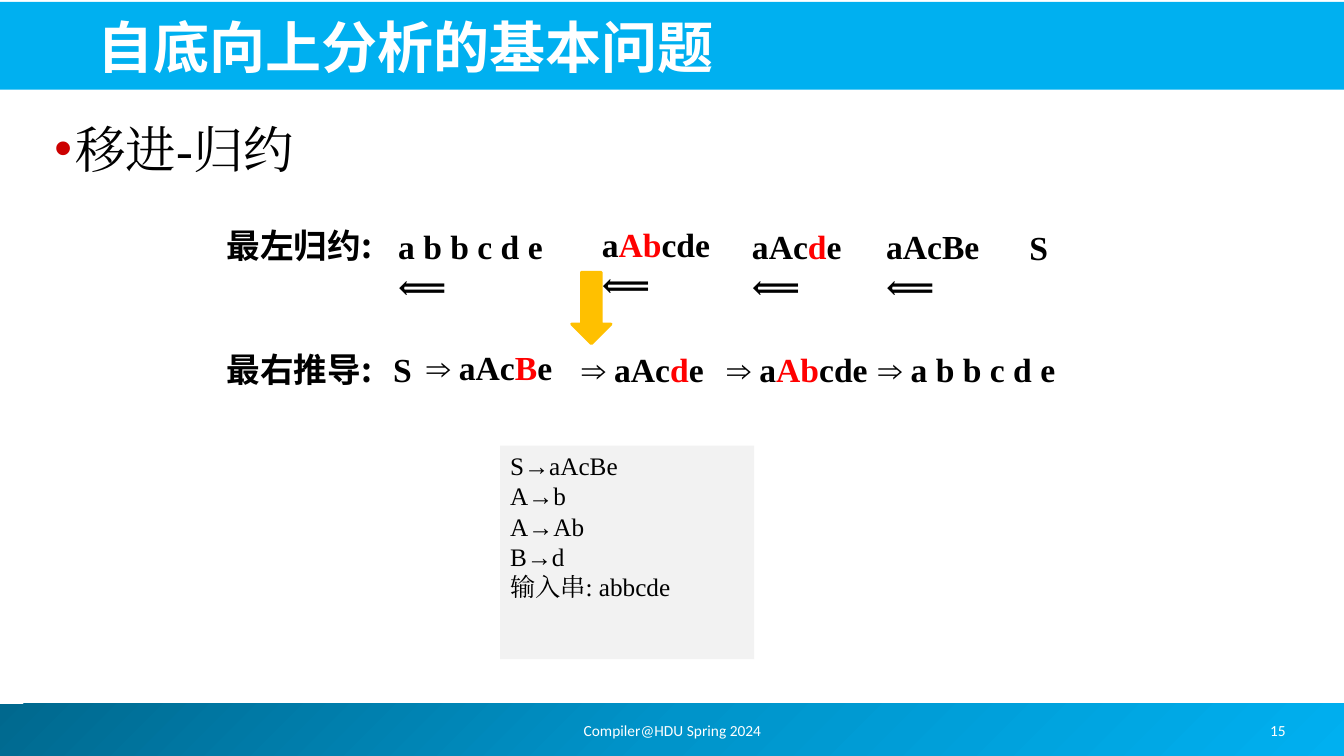
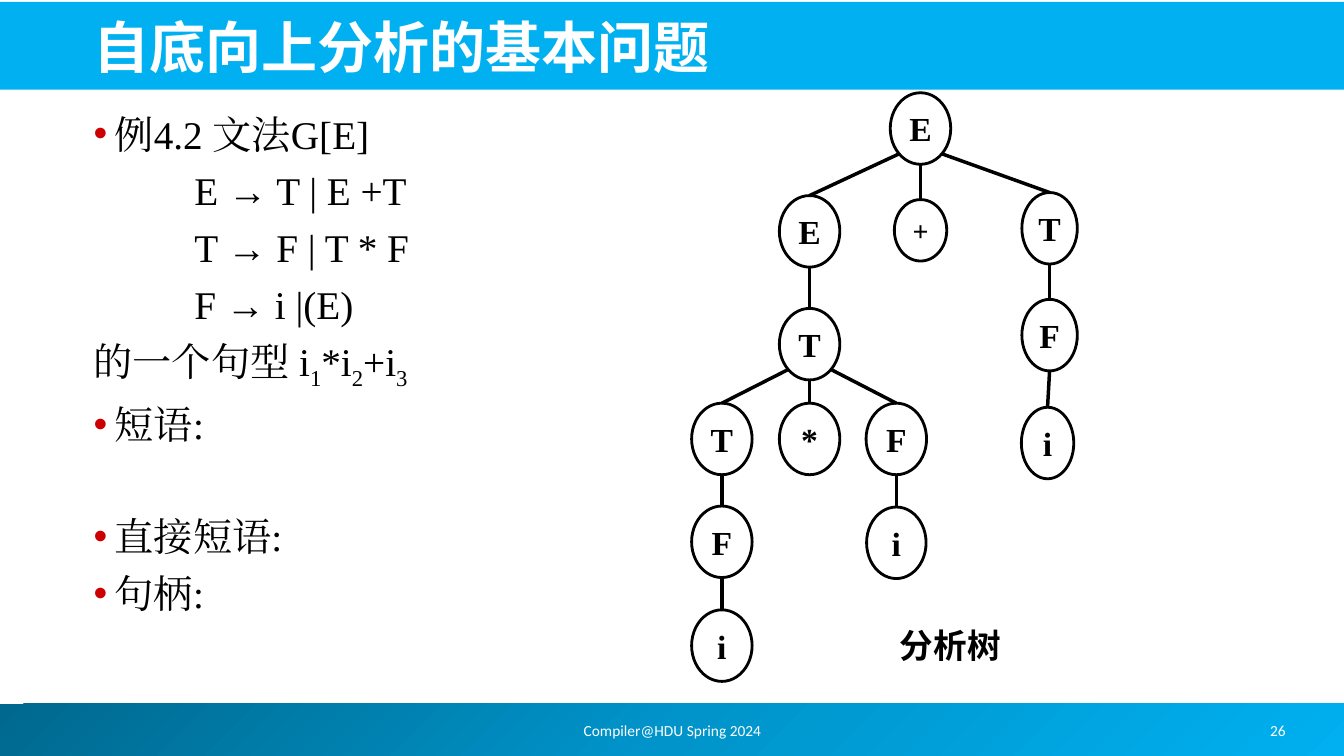
from copy import deepcopy
from math import cos, pi, sin

from pptx import Presentation
from pptx.dml.color import RGBColor
from pptx.enum.shapes import MSO_CONNECTOR, MSO_SHAPE
from pptx.enum.text import MSO_ANCHOR, MSO_AUTO_SIZE, PP_ALIGN
from pptx.oxml.ns import qn
from pptx.util import Inches, Pt
from lxml.etree import SubElement

COLORS = {
    "sky": "00B0F0", "deep": "00688E", "mid": "0094CA",
    "white": "FFFFFF", "black": "000000", "red": "FF0000",
    "bullet": "CC0000", "panel": "F2F2F2", "arrow": "FFC000",
}
SERIF, CJK, SANS = "Times New Roman", "Noto Sans CJK JP", "Calibri"

# Text formats
TITLE = {"name": CJK, "size": Pt(40), "bold": True}
FOOTER = {"name": SANS, "size": Pt(11)}
LABEL = {"name": CJK, "size": Pt(24), "bold": True}
FORMULA = {"name": SERIF, "size": Pt(24), "bold": True}
PLUS = {**FORMULA, "size": Pt(20)}
GRAMMAR = {"name": SERIF, "size": Pt(18)}
HEADING = {"name": SERIF, "size": Pt(36)}
BODY = {"name": SERIF, "size": Pt(28)}


def rgb(name):
    return RGBColor.from_string(COLORS[name])


def write(paragraph, text, style, color="black", mark="red"):
    """Write text; pieces between ~ signs are red or subscript."""
    for index, piece in enumerate(text.split("~")):
        if not piece:
            continue
        run = paragraph.add_run()
        run.text = piece
        for attribute, value in style.items():
            setattr(run.font, attribute, value)
        marked = index % 2 == 1
        run.font.color.rgb = rgb("red" if marked and mark == "red" else color)
        properties = run.font._element
        if marked and mark == "subscript":
            properties.set("baseline", "-25000")
        SubElement(properties, qn("a:ea")).set("typeface", style["name"])


def add_text(slide, at, text, style, color="black", align=PP_ALIGN.LEFT,
             anchor=MSO_ANCHOR.TOP, wrap=True):
    frame = slide.shapes.add_textbox(*map(Inches, at)).text_frame
    frame.word_wrap = wrap
    frame.vertical_anchor = anchor
    if not wrap:
        frame.auto_size = MSO_AUTO_SIZE.SHAPE_TO_FIT_TEXT
    paragraph = frame.paragraphs[0]
    paragraph.alignment = align
    if text:
        write(paragraph, text, style, color)
    return frame


def add_block(slide, kind, at, fill=None, line=None):
    block = slide.shapes.add_shape(kind, *map(Inches, at))
    block.shadow.inherit = False
    if fill:
        block.fill.solid()
        block.fill.fore_color.rgb = rgb(fill)
    else:
        block.fill.background()
    if line:
        block.line.color.rgb = rgb(line)
        block.line.width = Pt(2)
    else:
        block.line.fill.background()
    return block


def set_indent(paragraph, left, first=0.0):
    properties = paragraph._p.get_or_add_pPr()
    properties.set("marL", str(Inches(left)))
    properties.set("indent", str(Inches(first)))
    return properties


def add_bullet(paragraph):
    properties = set_indent(paragraph, 0.21, -0.21)
    color = SubElement(properties, qn("a:buClr"))
    SubElement(color, qn("a:srgbClr")).set("val", COLORS["bullet"])
    SubElement(properties, qn("a:buFont")).set("typeface", "Arial")
    SubElement(properties, qn("a:buChar")).set("char", "•")


def add_body(slide, at, lines, style):
    """Each line is (text, level, space before in points)."""
    frame = add_text(slide, at, "", style)
    for index, (text, level, gap) in enumerate(lines):
        paragraph = frame.add_paragraph() if index else frame.paragraphs[0]
        if index:
            paragraph.space_before = Pt(gap)
        if level == "bullet":
            add_bullet(paragraph)
        elif level == "rule":
            set_indent(paragraph, 1)
        write(paragraph, text, style, mark="subscript")


def add_footer_band(slide):
    band = add_block(slide, MSO_SHAPE.RECTANGLE, (0, 6.98, 13.33, 0.52))
    band.fill.gradient()
    band.fill.gradient_angle = 315
    stop_list = band._element.spPr.find(".//" + qn("a:gsLst"))
    stop_list.append(deepcopy(stop_list[0]))
    stops = zip(band.fill.gradient_stops, ("deep", "mid", "sky"), (0, 0.5, 1))
    for stop, color, position in stops:
        stop.color.rgb = rgb(color)
        stop.position = position


def new_slide(deck, title_left, number):
    """Blank slide with the bands, title and footer all slides share."""
    slide = deck.slides.add_slide(deck.slide_layouts[6])
    add_footer_band(slide)
    add_block(slide, MSO_SHAPE.RECTANGLE, (0, 0.02, 13.33, 0.87), "sky")
    add_text(slide, (title_left, 0.05, 12.06, 0.79), "自底向上分析的基本问题",
             TITLE, "white", anchor=MSO_ANCHOR.BOTTOM)
    for left, width, text in ((4.56, 4.22, "Compiler@HDU Spring 2024"),
                              (12.19, 0.97, str(number))):
        add_text(slide, (left, 7, width, 0.5), text, FOOTER, "white",
                 PP_ALIGN.CENTER, MSO_ANCHOR.MIDDLE)
    return slide


def add_node(slide, center, top, width, height, symbol):
    at = (center - width / 2, top, width, height)
    node = add_block(slide, MSO_SHAPE.OVAL, at, line="black")
    frame = node.text_frame
    frame.margin_left = frame.margin_right = 0
    frame.margin_top = frame.margin_bottom = 0
    frame.word_wrap = False
    frame.vertical_anchor = MSO_ANCHOR.MIDDLE
    frame.paragraphs[0].alignment = PP_ALIGN.CENTER
    write(frame.paragraphs[0], symbol, PLUS if symbol == "+" else FORMULA)
    return node


def add_branch(slide, parent, child):
    """Line from the parent's lower rim to the top of the child."""
    shift = child.left + child.width / 2 - parent.left - parent.width / 2
    angle = pi / 2
    if abs(shift) > Inches(0.3):
        angle = pi / 4 if shift > 0 else 3 * pi / 4
    start_x = parent.left + parent.width / 2 * (1 + cos(angle))
    start_y = parent.top + parent.height / 2 * (1 + sin(angle))
    branch = slide.shapes.add_connector(
        MSO_CONNECTOR.STRAIGHT, int(start_x), int(start_y), 0, 0)
    branch.end_connect(child, 0)
    branch.line.color.rgb = rgb("black")
    branch.line.width = Pt(2.5)
    SubElement(branch._element.spPr, qn("a:effectLst"))


def build_shift_reduce(deck):
    slide = new_slide(deck, 0.87, 15)
    add_body(slide, (0.44, 1.12, 12.44, 5.4), [("移进-归约", "bullet", 0)],
             HEADING)

    # Grammar panel
    panel = add_block(slide, MSO_SHAPE.RECTANGLE, (4.96, 4.42, 2.52, 2.12),
                      "panel")
    frame = panel.text_frame
    frame.vertical_anchor = MSO_ANCHOR.TOP
    rules = ("S→aAcBe", "A→b", "A→Ab", "B→d", "输入串: abbcde")
    for index, rule in enumerate(rules):
        paragraph = frame.add_paragraph() if index else frame.paragraphs[0]
        paragraph.alignment = PP_ALIGN.LEFT
        write(paragraph, rule, GRAMMAR)

    # Leftmost reduction; each arrow wraps below its string
    add_text(slide, (2.15, 2.18, 1.65, 0.5), "最左归约:", LABEL, wrap=False)
    reductions = (
        (3.85, 2.19, 2.13, "a b b c d e ⟸"), (5.87, 2.17, 1.69, "a~Ab~cde⟸"),
        (7.36, 2.19, 1.5, "aAc~d~e⟸"), (8.69, 2.19, 1.53, "aAcBe⟸"),
        (10.11, 2.2, 0.39, "S"),
    )
    for left, top, width, text in reductions:
        add_text(slide, (left, top, width, 0.5), text, FORMULA)

    # Rightmost derivation
    add_text(slide, (2.15, 3.41, 1.65, 0.51), "最右推导:", LABEL, wrap=False)
    derivations = (
        (3.8, 3.41, 0.39, "S"), (4.13, 3.39, 1.64, "⇒ aAc~B~e"),
        (5.67, 3.41, 1.64, "⇒ aAc~d~e"), (7.11, 3.41, 1.79, "⇒ a~Ab~cde"),
        (8.61, 3.41, 2.15, "⇒ a b b c d e"),
    )
    for left, top, width, text in derivations:
        add_text(slide, (left, top, width, 0.51), text, FORMULA, wrap=False)

    add_block(slide, MSO_SHAPE.DOWN_ARROW, (5.67, 2.7, 0.39, 0.71),
              "arrow", "arrow")


def build_parse_tree(deck):
    slide = new_slide(deck, 0.83, 26)
    add_body(slide, (0.83, 1.04, 4.75, 5.88), [
        ("例4.2 文法G[E]", "bullet", 0),
        ("E → T | E +T", "rule", 7),
        ("T → F | T * F", "rule", 7),
        ("F → i |(E)", "rule", 7),
        ("的一个句型 i~1~*i~2~+i~3~", "plain", 7),
        ("短语:", "bullet", 7),
        ("直接短语:", "bullet", 46),
        ("句柄:", "bullet", 7),
    ], BODY)

    # Tree nodes: parent, centre, top, width, height, symbol
    tree = {
        "sum": (None, 9.13, 0.92, 0.6, 0.71, "E"),
        "left sum": ("sum", 8.03, 1.94, 0.6, 0.71, "E"),
        "plus": ("sum", 9.13, 1.98, 0.52, 0.61, "+"),
        "right term": ("sum", 10.41, 1.91, 0.55, 0.71, "T"),
        "right factor": ("right term", 10.41, 2.97, 0.55, 0.71, "F"),
        "i3": ("right factor", 10.39, 4.04, 0.52, 0.71, "i"),
        "product": ("left sum", 8.03, 3.06, 0.6, 0.71, "T"),
        "left term": ("product", 7.16, 4, 0.6, 0.71, "T"),
        "times": ("product", 8.03, 4, 0.6, 0.71, "*"),
        "factor": ("product", 8.89, 4, 0.6, 0.71, "F"),
        "i2": ("factor", 8.89, 5.03, 0.59, 0.71, "i"),
        "left factor": ("left term", 7.16, 5.02, 0.6, 0.71, "F"),
        "i1": ("left factor", 7.16, 6.05, 0.6, 0.71, "i"),
    }
    nodes = {}
    for name, (parent, *place) in tree.items():
        nodes[name] = add_node(slide, *place)
        if parent:
            add_branch(slide, nodes[parent], nodes[name])
    add_text(slide, (8.82, 6.15, 1.21, 0.5), "分析树", LABEL,
             align=PP_ALIGN.CENTER, wrap=False)


def main():
    deck = Presentation()
    deck.slide_width, deck.slide_height = Inches(13.33), Inches(7.5)
    build_shift_reduce(deck)
    build_parse_tree(deck)
    deck.save("out.pptx")


if __name__ == "__main__":
    main()
